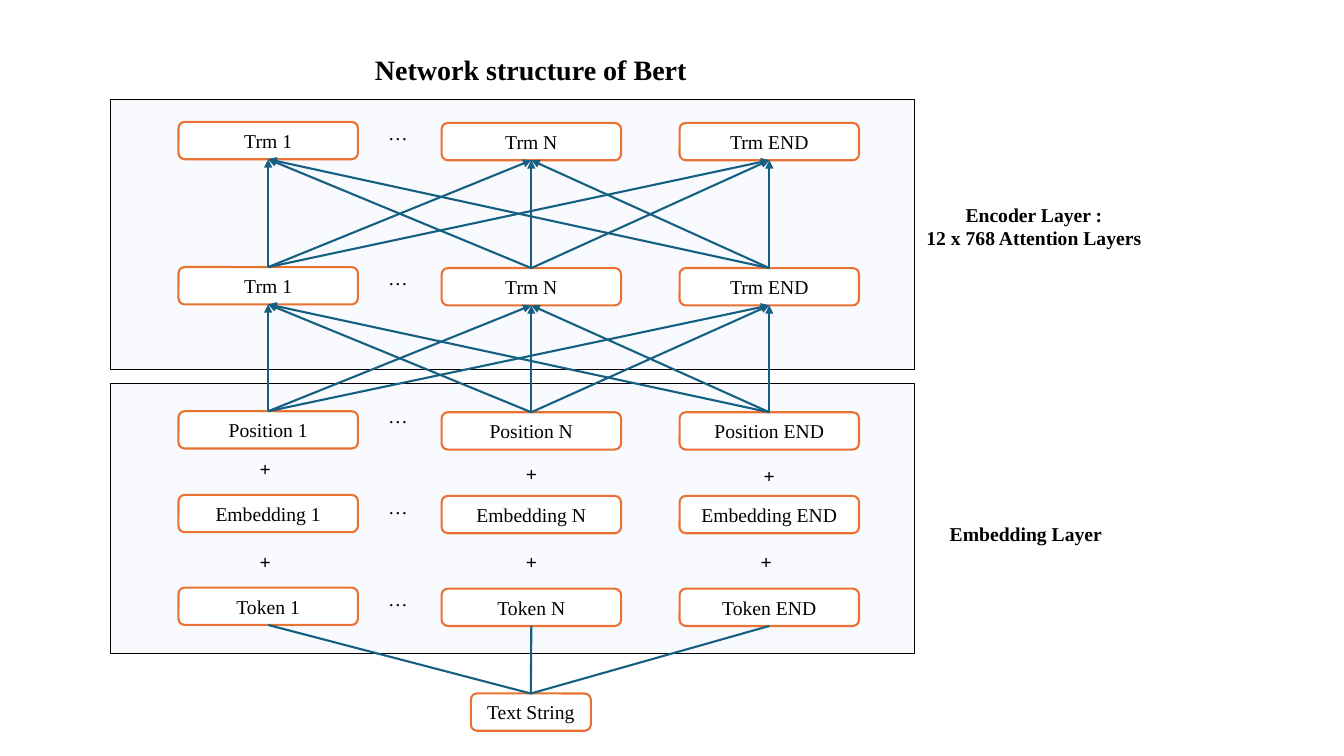
from lxml import etree
from pptx import Presentation
from pptx.dml.color import RGBColor
from pptx.enum.shapes import MSO_CONNECTOR, MSO_SHAPE
from pptx.enum.text import MSO_ANCHOR, PP_ALIGN
from pptx.oxml.ns import qn
from pptx.util import Pt

PX = 9144  # 100 px to the inch
RECT, ROUND = MSO_SHAPE.RECTANGLE, MSO_SHAPE.ROUNDED_RECTANGLE
STRAIGHT = MSO_CONNECTOR.STRAIGHT
LEFT, CENTER = PP_ALIGN.LEFT, PP_ALIGN.CENTER
TOP, MIDDLE = MSO_ANCHOR.TOP, MSO_ANCHOR.MIDDLE
TOP_SIDE, BOTTOM_SIDE = 0, 2
hue = RGBColor.from_string

prs = Presentation()
prs.slide_width, prs.slide_height = 1333 * PX, 750 * PX
slide = prs.slides.add_slide(prs.slide_layouts[5])
shapes = slide.shapes


def write(shape, lines, size=14, bold=False, align=CENTER, anchor=TOP):
    frame = shape.text_frame
    frame.word_wrap = True
    frame.vertical_anchor = anchor
    for i, line in enumerate(lines):
        para = frame.add_paragraph() if i else frame.paragraphs[0]
        para.alignment = align
        run = para.add_run()
        run.text = line
        run.font.name = "Times New Roman"
        run.font.size = Pt(size)
        run.font.bold = bold
        run.font.color.rgb = hue("000000")


def block(kind, x, y, w, h, fill, edge, width):
    shape = shapes.add_shape(kind, x * PX, y * PX, w * PX, h * PX)
    shape.shadow.inherit = False
    shape.fill.solid()
    shape.fill.fore_color.rgb = hue(fill)
    shape.line.color.rgb = hue(edge)
    shape.line.width = Pt(width)
    return shape


title = shapes.title
title.left, title.top, title.width, title.height = 337 * PX, 47 * PX, 379 * PX, 44 * PX
write(title, ["Network structure of Bert"], 20, True)

# Layer panels
for y in (99, 380):
    panel = block(RECT, 110, y, 797, 268, "5862E2", "000000", 0.75)
    tint = panel.fill._xPr.find(qn("a:solidFill"))[0]
    etree.SubElement(tint, qn("a:alpha"), val="3000")

# Boxes, row by row from the top
cols = [(177, "1", 0), (438, "N", 1), (674, "END", 1)]
rows = [("Trm", 121), ("Trm", 265), ("Position", 408), ("Embedding", 491), ("Token", 583)]
grid = []
for name, y in rows:
    row = []
    for x, mark, drop in cols:
        box = block(ROUND, x, y + drop, 178, 37, "FFFFFF", "E97132", 1.5)
        write(box, [f"{name} {mark}"], anchor=MIDDLE)
        row.append(box)
    grid.append(row)
source = block(ROUND, 467, 688, 119, 37, "FFFFFF", "E97132", 1.5)
write(source, ["Text String"], anchor=MIDDLE)

# Dots, plus signs and layer names
notes = [(375, y, 32, 34, ["…"], False, LEFT) for y in (115, 259, 396, 486, 577)]
notes += [(x, y, 32, 34, ["+"], True, CENTER) for x, y in
          [(247, 448), (247, 541), (511, 453), (511, 541), (747, 455), (744, 541)]]
notes += [
    (873, 196, 305, 57, ["Encoder Layer :", "12 x 768 Attention Layers"], True, CENTER),
    (927, 513, 181, 34, ["Embedding Layer"], True, CENTER),
]
for x, y, w, h, lines, bold, align in notes:
    note = shapes.add_textbox(x * PX, y * PX, w * PX, h * PX)
    write(note, lines, bold=bold, align=align)

# Links run upwards: full mesh between encoder rows, plain fan from the text
links = [(source, box, False) for box in grid[4]]
for low, high in ((1, 0), (2, 1)):
    links += [(a, b, True) for a in grid[low] for b in grid[high]]
for start, end, arrow in links:
    link = shapes.add_connector(STRAIGHT, 0, 0, 0, 0)
    link.begin_connect(start, TOP_SIDE)
    link.end_connect(end, BOTTOM_SIDE)
    link.line.color.rgb = hue("156082")
    link.line.width = Pt(1.5)
    if arrow:
        etree.SubElement(link.line._get_or_add_ln(), qn("a:tailEnd"), type="triangle")
    etree.SubElement(link._element.spPr, qn("a:effectLst"))

prs.save("out.pptx")
